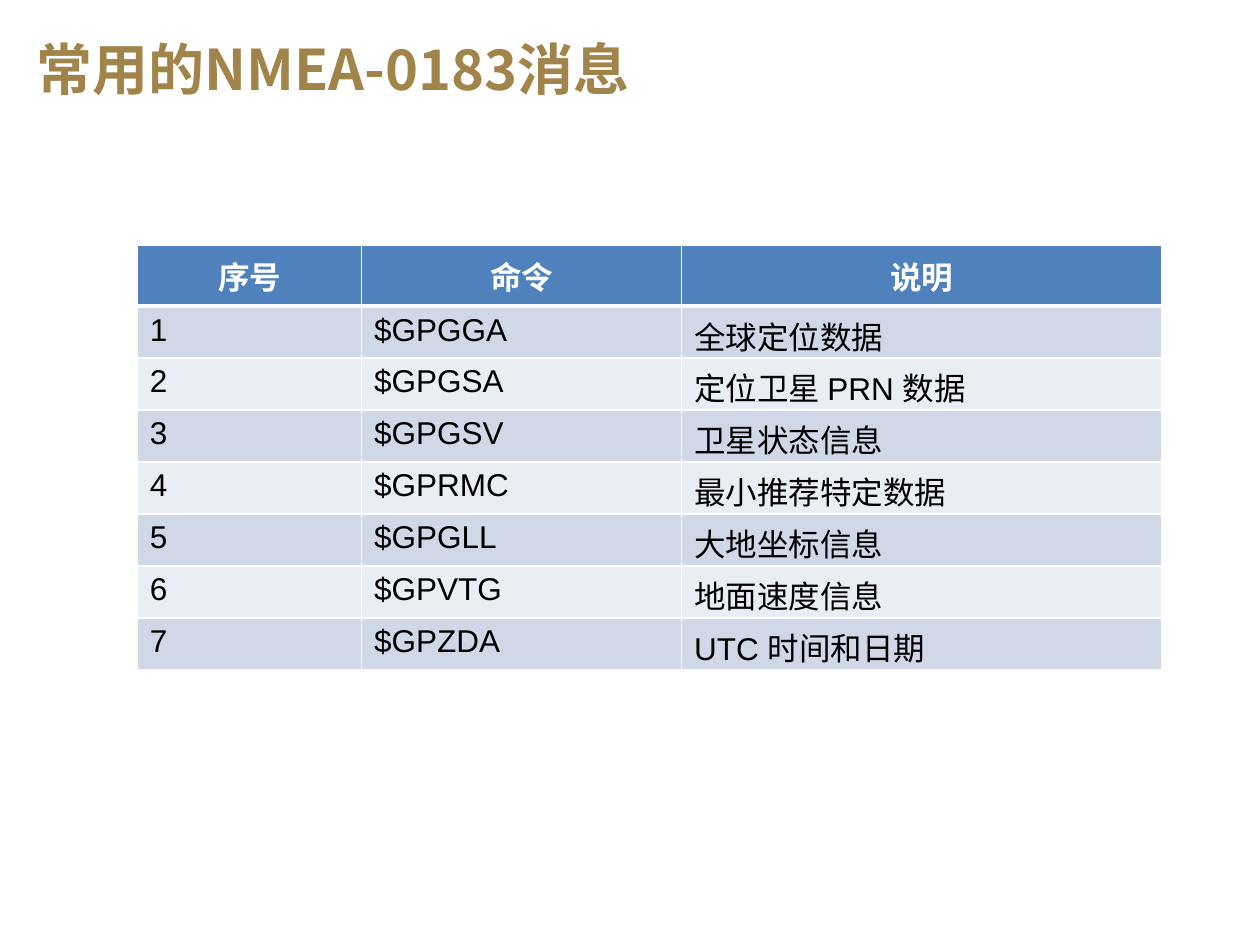
from lxml.etree import SubElement
from pptx import Presentation
from pptx.dml.color import RGBColor
from pptx.enum.text import MSO_ANCHOR, PP_ALIGN
from pptx.oxml.ns import qn
from pptx.util import Inches, Pt

GOLD = RGBColor(0xA1, 0x84, 0x49)
BLUE = RGBColor(0x4F, 0x81, 0xBD)
DARK = RGBColor(0xD0, 0xD8, 0xE8)
LIGHT = RGBColor(0xE9, 0xED, 0xF4)
WHITE = RGBColor(0xFF, 0xFF, 0xFF)
BLACK = RGBColor(0, 0, 0)
CJK = "Noto Sans CJK SC"

HEAD = ("序号", "命令", "说明")
ITEMS = (
    ("$GPGGA", "全球定位数据"),
    ("$GPGSA", "定位卫星 PRN 数据"),
    ("$GPGSV", "卫星状态信息"),
    ("$GPRMC", "最小推荐特定数据"),
    ("$GPGLL", "大地坐标信息"),
    ("$GPVTG", "地面速度信息"),
    ("$GPZDA", "UTC 时间和日期"),
)
WIDTHS = (1.78, 2.54, 3.81)
HEAD_H, ROW_H = 0.48, 0.41


def put_text(frame, text, size=18, color=BLACK, bold=False, font="Arial",
             align=PP_ALIGN.LEFT):
    para = frame.paragraphs[0]
    para.alignment = align
    run = para.add_run()
    run.text = text
    run.font.size = Pt(size)
    run.font.bold = bold
    run.font.name = font
    run.font.color.rgb = color
    # Typeface for the Chinese characters
    SubElement(run.font._element, qn("a:ea"), typeface=CJK)


def add_title(slide, text):
    box = slide.shapes.add_textbox(Inches(0.19), Inches(0.14),
                                   Inches(5.52), Inches(0.72))
    frame = box.text_frame
    frame.word_wrap = True
    frame.vertical_anchor = MSO_ANCHOR.BOTTOM
    put_text(frame, text, size=32, color=GOLD, bold=True, font=CJK)


def set_edges(cell, top=1, bottom=1):
    props = cell._tc.get_or_add_tcPr()
    for side, width in (("L", 1), ("R", 1), ("T", top), ("B", bottom)):
        line = SubElement(props, qn(f"a:ln{side}"), w=str(Pt(width)))
        fill = SubElement(line, qn("a:solidFill"))
        SubElement(fill, qn("a:srgbClr"), val=str(WHITE))


def fill_cell(cell, color):
    cell.fill.solid()
    cell.fill.fore_color.rgb = color


def add_grid(slide):
    rows = [(str(num), *item) for num, item in enumerate(ITEMS, 1)]
    height = HEAD_H + ROW_H * len(rows)
    grid = slide.shapes.add_table(
        len(rows) + 1, len(HEAD), Inches(1.09), Inches(1.95),
        Inches(sum(WIDTHS)), Inches(height)).table
    grid.horz_banding = False
    for col, width in zip(grid.columns, WIDTHS):
        col.width = Inches(width)

    # Header row
    grid.rows[0].height = Inches(HEAD_H)
    for cell, text in zip(grid.rows[0].cells, HEAD):
        set_edges(cell, bottom=3)
        fill_cell(cell, BLUE)
        cell.vertical_anchor = MSO_ANCHOR.MIDDLE
        put_text(cell.text_frame, text, color=WHITE, bold=True,
                 align=PP_ALIGN.CENTER)

    # Message rows in alternating shades
    for num, texts in enumerate(rows, 1):
        row = grid.rows[num]
        row.height = Inches(ROW_H)
        for cell, text in zip(row.cells, texts):
            set_edges(cell, top=3 if num == 1 else 1)
            fill_cell(cell, DARK if num % 2 else LIGHT)
            cell.margin_bottom = 0
            put_text(cell.text_frame, text)


def main():
    deck = Presentation()
    deck.slide_width, deck.slide_height = Inches(10), Inches(7.5)
    slide = deck.slides.add_slide(deck.slide_layouts[6])
    add_grid(slide)
    add_title(slide, "常用的NMEA-0183消息")
    deck.save("out.pptx")


if __name__ == "__main__":
    main()
